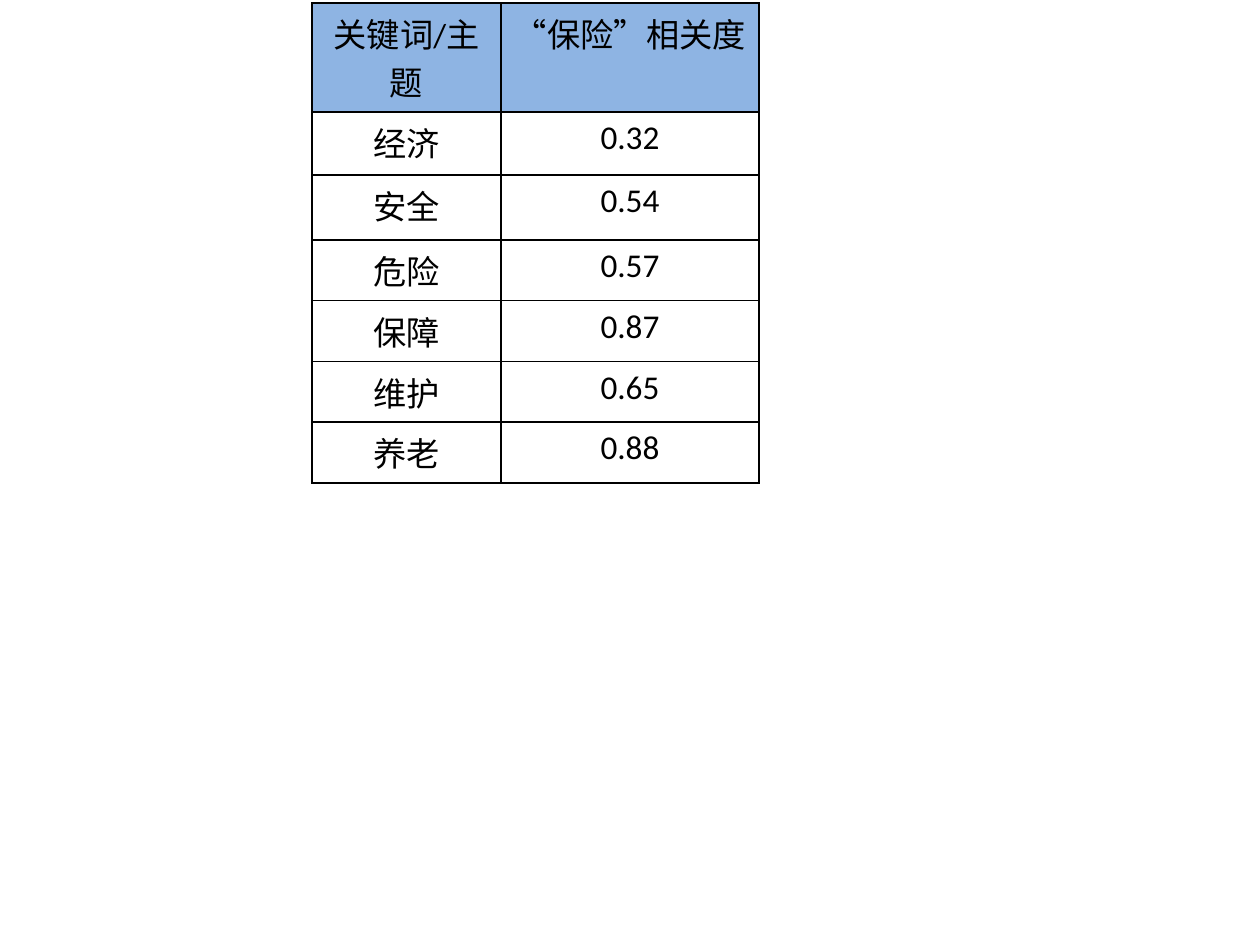
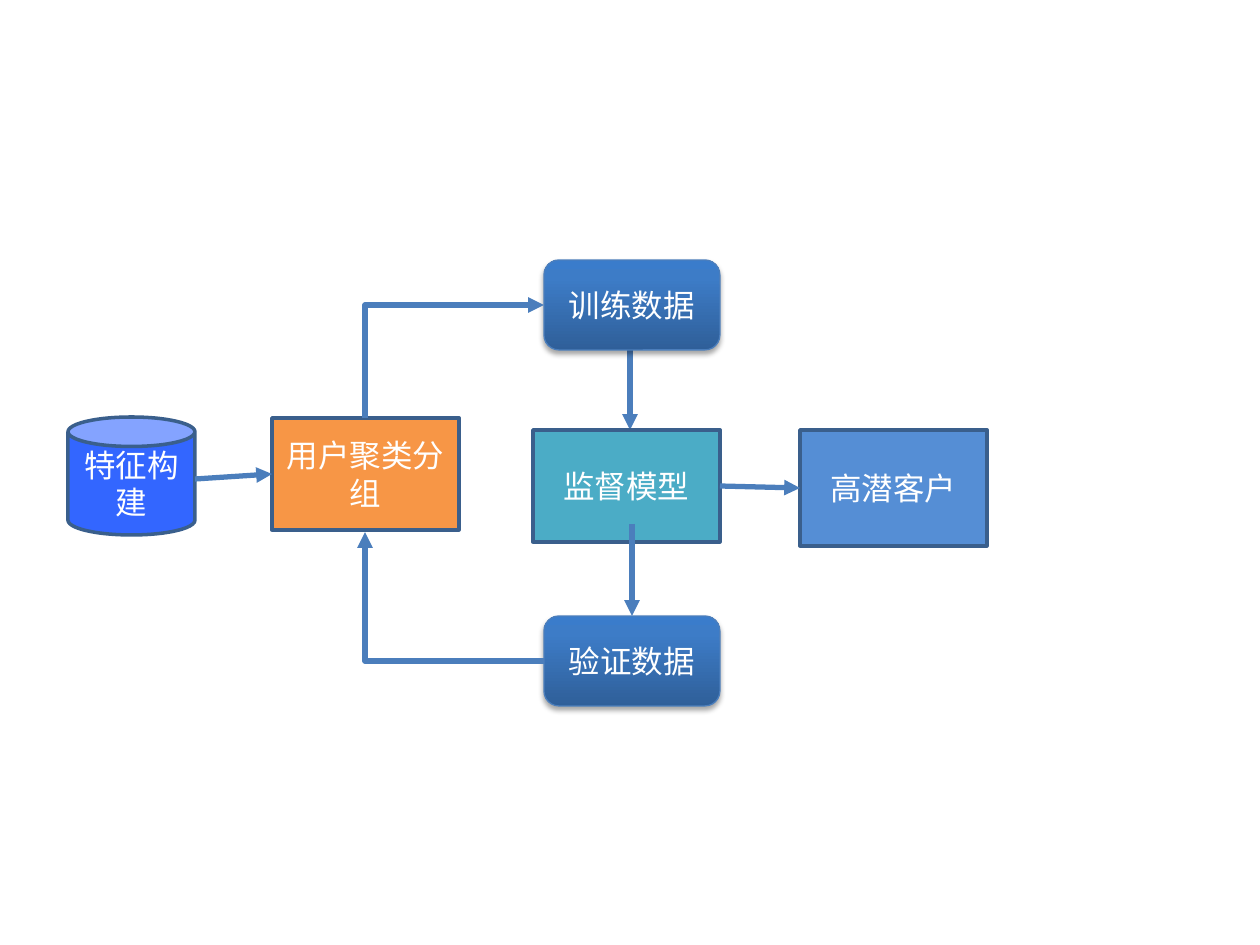
from copy import deepcopy

from lxml.etree import SubElement
from pptx import Presentation
from pptx.dml.color import RGBColor
from pptx.enum.shapes import MSO_CONNECTOR, MSO_SHAPE
from pptx.enum.text import MSO_ANCHOR, PP_ALIGN
from pptx.oxml.ns import qn
from pptx.util import Pt

EMU_PER_PX = 914400 / 126
FONT = "Calibri"
BLACK, WHITE = "000000", "FFFFFF"
HEADER_BLUE = "8EB4E3"
OUTLINE, ARROW = "3A5F8C", "4B7EBC"
ORANGE, TEAL, SKY, ROYAL = "F79646", "4BACC6", "558ED5", "3366FF"
DATA_GRADIENT = [(0, "2F5F99"), (0.8, "3D7CC7"), (1, "3A7CCB")]
RELEVANCE = [
    ("关键词/主题", "“保险”相关度"),
    ("经济", "0.32"),
    ("安全", "0.54"),
    ("危险", "0.57"),
    ("保障", "0.87"),
    ("维护", "0.65"),
    ("养老", "0.88"),
]


def px(n):
    return round(n * EMU_PER_PX)


def rgb(color):
    return RGBColor.from_string(color)


def add_xml(parent, tag, **attrs):
    return SubElement(parent, qn(tag), {k: str(v) for k, v in attrs.items()})


def write(tf, text, size, color):
    p = tf.paragraphs[0]
    p.text = text
    p.alignment = PP_ALIGN.CENTER
    p.font.name = FONT
    p.font.size = Pt(size)
    p.font.color.rgb = rgb(color)


def add_borders(cell):
    tc_pr = cell._tc.get_or_add_tcPr()
    for side in ("a:lnL", "a:lnR", "a:lnT", "a:lnB"):
        ln = add_xml(tc_pr, side, w=Pt(1))
        add_xml(add_xml(ln, "a:solidFill"), "a:srgbClr", val=BLACK)


def relevance_table(slide, x, y, col_widths, row_heights):
    frame = slide.shapes.add_table(
        len(row_heights), len(col_widths),
        px(x), px(y), px(sum(col_widths)), px(sum(row_heights)))
    table = frame.table
    table.first_row = table.horz_banding = False
    for col, w in zip(table.columns, col_widths):
        col.width = px(w)
    for i, (row, h) in enumerate(zip(table.rows, row_heights)):
        row.height = px(h)
        for cell, text in zip(row.cells, RELEVANCE[i]):
            write(cell.text_frame, text, 19, BLACK)
            add_borders(cell)
            if i == 0:
                cell.fill.solid()
                cell.fill.fore_color.rgb = rgb(HEADER_BLUE)
            else:
                cell.fill.background()


def add_node(slide, kind, text, box, line=OUTLINE, width=2):
    sp = slide.shapes.add_shape(kind, *map(px, box))
    sp.shadow.inherit = False
    sp.line.color.rgb = rgb(line)
    sp.line.width = Pt(width)
    tf = sp.text_frame
    tf.word_wrap = True
    tf.vertical_anchor = MSO_ANCHOR.MIDDLE
    write(tf, text, 18, WHITE)
    return sp


def step_node(slide, kind, text, box, color):
    sp = add_node(slide, kind, text, box)
    sp.fill.solid()
    sp.fill.fore_color.rgb = rgb(color)
    return sp


def data_node(slide, text, box):
    sp = add_node(slide, MSO_SHAPE.ROUNDED_RECTANGLE, text, box, ARROW, 0.75)
    sp.fill.gradient()
    sp.fill.gradient_angle = 90
    sp_pr = sp._element.spPr
    stops = sp_pr.find(".//" + qn("a:gsLst"))
    stops.append(deepcopy(stops[-1]))
    for stop, (position, color) in zip(sp.fill.gradient_stops, DATA_GRADIENT):
        stop.position = position
        stop.color.rgb = rgb(color)
    shadow = add_xml(sp_pr.find(qn("a:effectLst")), "a:outerShdw",
                     blurRad=Pt(3.1), dist=Pt(1.8), dir=5400000, rotWithShape=0)
    add_xml(add_xml(shadow, "a:srgbClr", val=BLACK), "a:alpha", val=35000)
    return sp


def add_arrow(slide, start, end, kind=MSO_CONNECTOR.STRAIGHT):
    conn = slide.shapes.add_connector(kind, *map(px, (*start, *end)))
    conn.line.color.rgb = rgb(ARROW)
    conn.line.width = Pt(3)
    sp_pr = conn._element.spPr
    add_xml(sp_pr.find(qn("a:ln")), "a:tailEnd", type="triangle")
    add_xml(sp_pr, "a:effectLst")
    return conn


def add_bent_arrow(slide, start, end, degrees):
    (x1, y1), (x2, y2) = start, end
    w, h = abs(x2 - x1), abs(y2 - y1)
    if degrees % 180:
        w, h = h, w
    left, top = (x1 + x2 - w) / 2, (y1 + y2 - h) / 2
    conn = add_arrow(slide, (left, top), (left + w, top + h), MSO_CONNECTOR.ELBOW)
    sp_pr = conn._element.spPr
    sp_pr.find(qn("a:prstGeom")).set("prst", "bentConnector2")
    sp_pr.find(qn("a:xfrm")).set("rot", str(degrees * 60000))


def model_flow(slide, x, y):
    def at(dx, dy, *size):
        return (x + dx, y + dy, *size)

    rect = MSO_SHAPE.RECTANGLE
    add_arrow(slide, at(562, 78), at(562, 170))
    target = step_node(slide, rect, "高潜客户", at(732, 170, 187, 116), SKY)
    cluster = step_node(slide, rect, "用户聚类分组", at(204, 158, 187, 112), ORANGE)
    step_node(slide, MSO_SHAPE.CAN, "特征构建", at(0, 157, 127, 118), ROYAL)
    data_node(slide, "训练数据", at(476, 0, 176, 90))
    model = step_node(slide, rect, "监督模型", at(465, 170, 187, 112), TEAL)
    check = data_node(slide, "验证数据", at(476, 356, 176, 90))

    add_arrow(slide, at(127, 219), at(204, 214)).end_connect(cluster, 1)
    add_bent_arrow(slide, at(297, 158), at(476, 45), 270)
    add_bent_arrow(slide, at(476, 401), at(297, 272), 180)
    add_arrow(slide, at(564, 264), at(564, 356)).end_connect(check, 0)
    result = add_arrow(slide, at(652, 226), at(732, 228))
    result.begin_connect(model, 3)
    result.end_connect(target, 1)


def main():
    prs = Presentation()
    prs.slide_width, prs.slide_height = px(1260), px(945)
    blank = prs.slide_layouts[6]
    relevance_table(prs.slides.add_slide(blank), 312, 3,
                    [189, 258], [91, 63, 65] + [57] * 4)
    model_flow(prs.slides.add_slide(blank), 68, 260)
    prs.save("out.pptx")


if __name__ == "__main__":
    main()
